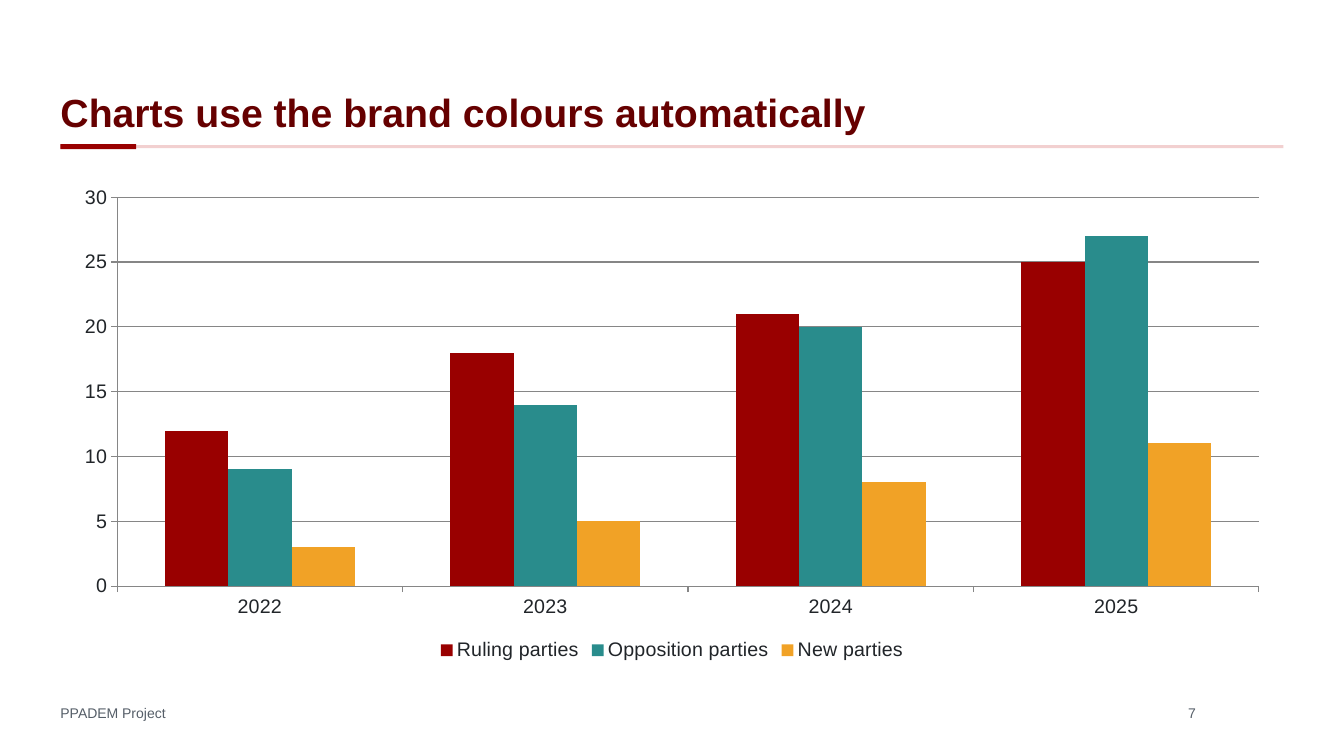
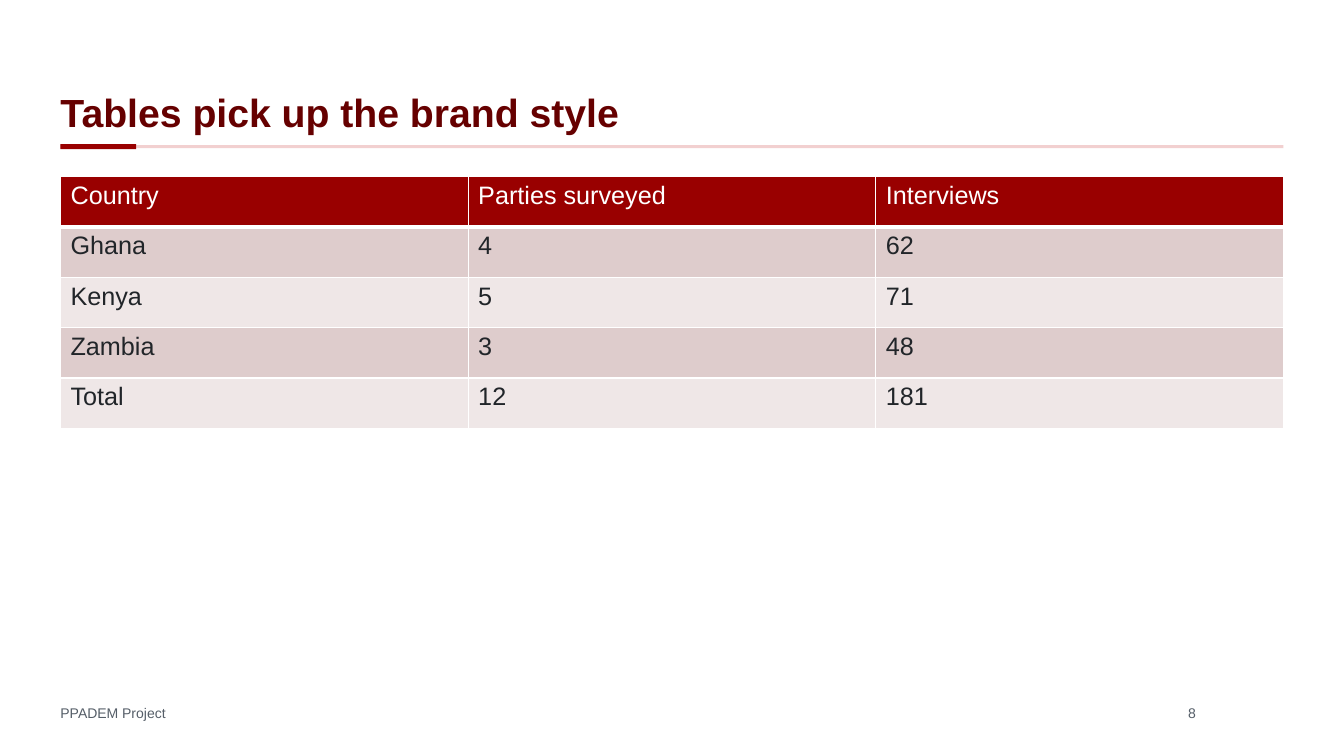
from pptx import Presentation
from pptx.chart.data import CategoryChartData
from pptx.dml.color import RGBColor
from pptx.enum.chart import XL_CHART_TYPE as ChartType
from pptx.enum.chart import XL_LEGEND_POSITION as LegendPosition
from pptx.enum.chart import XL_TICK_MARK as TickMark
from pptx.enum.shapes import MSO_SHAPE as Preset
from pptx.enum.text import MSO_ANCHOR as Anchor
from pptx.enum.text import MSO_AUTO_SIZE as AutoSize
from pptx.enum.text import PP_ALIGN as Align
from pptx.oxml.xmlchemy import OxmlElement
from pptx.util import Inches, Pt

FONT = "Arial"
RED, DARK_RED, PALE_RED = "990000", "660000", "F2D0D0"
TEAL, AMBER = "298C8C", "F1A226"
INK, GRAY, AXIS_GRAY, WHITE = "212529", "555E68", "868686", "FFFFFF"
ROW_BANDS = ("DECCCC", "EFE7E7")

LEFT, CONTENT_WIDTH = 0.6, 12.13
TITLE_BOX = (LEFT, 0.45, CONTENT_WIDTH, 0.95)
RULE_BOX = (LEFT, 1.44, CONTENT_WIDTH, 0.03)
ACCENT_BOX = (LEFT, 1.43, 0.75, 0.05)
FOOTER_BOX = (LEFT, 6.92, 5, 0.3)
NUMBER_BOX = (10.91, 6.92, 0.95, 0.3)
CHART_BOX = (LEFT, 1.75, CONTENT_WIDTH, 4.85)
TABLE_BOX = (LEFT, 1.75, CONTENT_WIDTH, 2.5)


def rgb(color):
    return RGBColor.from_string(color)


def inches(box):
    return [Inches(length) for length in box]


def style_font(font, size, color, bold=False):
    font.name, font.size, font.bold = FONT, Pt(size), bold
    font.color.rgb = rgb(color)


def write(frame, text, size=18, color=INK, bold=False, align=Align.LEFT, spacing=None):
    paragraph = frame.paragraphs[0]
    paragraph.alignment = align
    paragraph.line_spacing = spacing
    run = paragraph.add_run()
    run.text = text
    style_font(run.font, size, color, bold)


def set_frame(frame, anchor, vertical_margin=0):
    frame.word_wrap = True
    frame.auto_size = AutoSize.NONE
    frame.vertical_anchor = anchor
    frame.margin_left = frame.margin_right = 0
    frame.margin_top = frame.margin_bottom = Inches(vertical_margin)


def add_bar(slide, box, color):
    bar = slide.shapes.add_shape(Preset.RECTANGLE, *inches(box))
    bar.shadow.inherit = False
    bar.fill.solid()
    bar.fill.fore_color.rgb = rgb(color)
    bar.line.fill.background()


def add_footer_text(slide, box, text, align=Align.LEFT):
    frame = slide.shapes.add_textbox(*inches(box)).text_frame
    set_frame(frame, Anchor.MIDDLE)
    write(frame, text, size=10, color=GRAY, align=align)


def add_base_slide(presentation, title, number):
    """Add a slide with the shared title, rule and footer."""
    slide = presentation.slides.add_slide(presentation.slide_layouts[5])
    add_footer_text(slide, FOOTER_BOX, "PPADEM Project")
    add_footer_text(slide, NUMBER_BOX, str(number), align=Align.RIGHT)
    add_bar(slide, RULE_BOX, PALE_RED)
    add_bar(slide, ACCENT_BOX, RED)
    heading = slide.shapes.title
    heading.left, heading.top, heading.width, heading.height = inches(TITLE_BOX)
    set_frame(heading.text_frame, Anchor.BOTTOM, vertical_margin=0.05)
    write(heading.text_frame, title, size=28, color=DARK_RED, bold=True, spacing=0.9)
    return slide


def style_line(line):
    line.color.rgb = rgb(AXIS_GRAY)
    line.width = Pt(0.75)


def add_column_chart(slide, box, categories, series):
    """Draw clustered columns; series holds (name, color, values)."""
    data = CategoryChartData()
    data.categories = categories
    for name, _, values in series:
        data.add_series(name, values)
    chart = slide.shapes.add_chart(ChartType.COLUMN_CLUSTERED, *inches(box), data).chart
    style_font(chart.font, 14, INK)
    chart.has_title = False
    chart.has_legend = True
    chart.legend.position = LegendPosition.BOTTOM
    chart.legend.include_in_layout = False

    for axis in (chart.category_axis, chart.value_axis):
        axis.major_tick_mark = TickMark.OUTSIDE
        axis.minor_tick_mark = TickMark.NONE
        style_line(axis.format.line)
    chart.value_axis.minimum_scale = 0
    chart.value_axis.maximum_scale = 30
    chart.value_axis.major_unit = 5
    style_line(chart.value_axis.major_gridlines.format.line)

    plot = chart.plots[0]
    plot.vary_by_categories = False
    plot.gap_width, plot.overlap = 150, 0
    for columns, (_, color, _) in zip(plot.series, series):
        columns.format.fill.solid()
        columns.format.fill.fore_color.rgb = rgb(color)


def set_borders(cell, **widths):
    """Add white borders, given in points by side in schema order."""
    properties = cell._tc.get_or_add_tcPr()
    for index, (side, width) in enumerate(widths.items()):
        line = OxmlElement(f"a:ln{side}")
        line.set("w", str(Pt(width)))
        fill = OxmlElement("a:solidFill")
        color = OxmlElement("a:srgbClr")
        color.set("val", WHITE)
        fill.append(color)
        line.append(fill)
        properties.insert(index, line)


def add_data_table(slide, box, rows):
    row_count, column_count = len(rows), len(rows[0])
    table = slide.shapes.add_table(row_count, column_count, *inches(box)).table
    for column in table.columns:
        column.width = Inches(box[2] / column_count)
    for row in table.rows:
        row.height = Inches(box[3] / row_count)
    for row_index, values in enumerate(rows):
        is_header = row_index == 0
        fill = RED if is_header else ROW_BANDS[(row_index - 1) % 2]
        for column_index, value in enumerate(values):
            cell = table.cell(row_index, column_index)
            cell.fill.solid()
            cell.fill.fore_color.rgb = rgb(fill)
            set_borders(cell, L=1, R=1, T=1, B=3 if is_header else 1)
            write(cell.text_frame, value, color=WHITE if is_header else INK)


def build_chart_slide(presentation):
    slide = add_base_slide(presentation, "Charts use the brand colours automatically", 7)
    add_column_chart(slide, CHART_BOX, ("2022", "2023", "2024", "2025"), (
        ("Ruling parties", RED, (12, 18, 21, 25)),
        ("Opposition parties", TEAL, (9, 14, 20, 27)),
        ("New parties", AMBER, (3, 5, 8, 11)),
    ))


def build_table_slide(presentation):
    slide = add_base_slide(presentation, "Tables pick up the brand style", 8)
    add_data_table(slide, TABLE_BOX, (
        ("Country", "Parties surveyed", "Interviews"),
        ("Ghana", "4", "62"),
        ("Kenya", "5", "71"),
        ("Zambia", "3", "48"),
        ("Total", "12", "181"),
    ))


def main():
    presentation = Presentation()
    presentation.slide_width, presentation.slide_height = Inches(13.33), Inches(7.5)
    build_chart_slide(presentation)
    build_table_slide(presentation)
    presentation.save("out.pptx")


if __name__ == "__main__":
    main()
